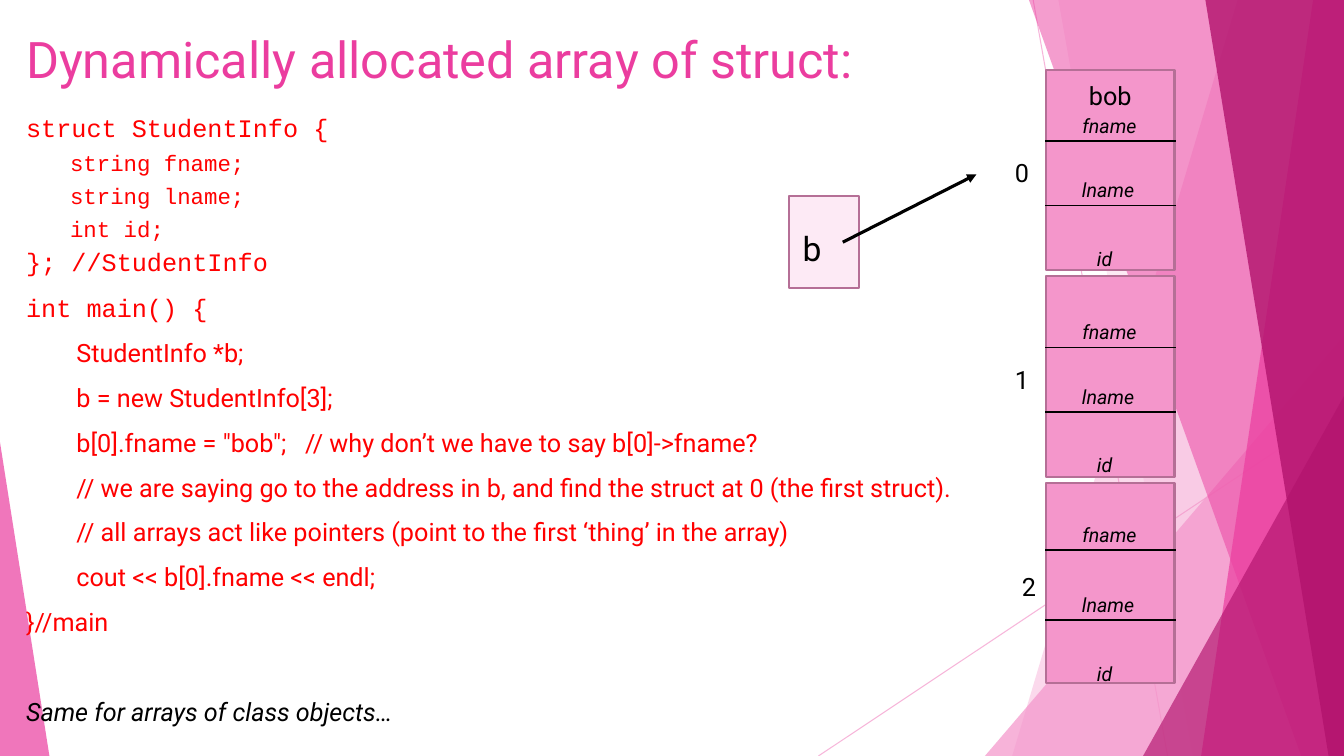
from dataclasses import dataclass

import pptx
import pptx.dml.color
import pptx.enum.shapes
import pptx.enum.text
import pptx.oxml
import pptx.oxml.ns
import pptx.util

Pt = pptx.util.Pt
RGBColor = pptx.dml.color.RGBColor
MSO_SHAPE = pptx.enum.shapes.MSO_SHAPE
PP_ALIGN = pptx.enum.text.PP_ALIGN
MSO_ANCHOR = pptx.enum.text.MSO_ANCHOR

PINK = RGBColor(0xF4, 0x96, 0xCB)
MAGENTA = RGBColor(0xEB, 0x3D, 0x9F)
PLUM = RGBColor(0xB2, 0x13, 0x6D)
PALE = RGBColor(0xFD, 0xEA, 0xF5)
MAUVE = RGBColor(0xB5, 0x6F, 0x96)
RED = RGBColor(0xFF, 0x00, 0x00)
BLACK = RGBColor(0x00, 0x00, 0x00)
SANS, MONO = "Roboto", "Courier New"
W, H = 960, 540
STRUCT_LEFT, STRUCT_WIDTH, STRUCT_HEIGHT = 747.5, 91.5, 143.3
STRUCT_TOP, STRUCT_STEP = 49.7, 147.6


@dataclass
class Shard:
    top_x: float
    bottom_x: float
    color: RGBColor
    alpha: int


@dataclass
class Corner:
    left: float
    top: float
    width: float
    apex: int
    color: RGBColor
    alpha: int


@dataclass
class Line:
    text: str
    size: float = 18
    font: str = SANS
    before: float = 10
    indent: float = 0
    color: RGBColor = RED
    italic: bool = False


@dataclass
class Struct:
    index: str
    index_x: float
    dividers: tuple[float, float]
    labels: tuple[float, float, float]


def set_alpha(fill, alpha: int) -> None:
    clr = fill._xPr.find(".//" + pptx.oxml.ns.qn("a:srgbClr"))
    clr.append(pptx.oxml.parse_xml(
        f'<a:alpha {pptx.oxml.ns.nsdecls("a")} val="{alpha * 1000}"/>'))


def paint(s, color: RGBColor, alpha: int = 100, border: RGBColor | None = None) -> None:
    s.shadow.inherit = False
    s.fill.solid()
    s.fill.fore_color.rgb = color
    if alpha < 100:
        set_alpha(s.fill, alpha)
    if border is None:
        s.line.fill.background()
    else:
        s.line.color.rgb = border
        s.line.width = Pt(1.5)


def add_line(x1: float, y1: float, x2: float, y2: float, color: RGBColor = BLACK,
             width: float = 1, alpha: int = 100, arrow: bool = False) -> None:
    s = slide.shapes.add_connector(pptx.enum.shapes.MSO_CONNECTOR.STRAIGHT,
                                   Pt(x1), Pt(y1), Pt(x2), Pt(y2))
    s.line.color.rgb = color
    s.line.width = Pt(width)
    if alpha < 100:
        set_alpha(s.line.fill, alpha)
    ns = pptx.oxml.ns.nsdecls("a")
    if arrow:
        s.line._get_or_add_ln().append(
            pptx.oxml.parse_xml(f'<a:tailEnd {ns} type="triangle"/>'))
    s._element.spPr.append(pptx.oxml.parse_xml(f"<a:effectLst {ns}/>"))


def add_box(left: float, top: float, width: float, height: float, color: RGBColor) -> None:
    s = slide.shapes.add_shape(MSO_SHAPE.RECTANGLE, Pt(left), Pt(top), Pt(width), Pt(height))
    paint(s, color, border=MAUVE)


def add_shard(shard: Shard) -> None:
    fb = slide.shapes.build_freeform(Pt(shard.top_x), 0, scale=1.0)
    corners = ((W, 0), (W, H), (shard.bottom_x, H))
    fb.add_line_segments([(Pt(x), Pt(y)) for x, y in corners], close=True)
    paint(fb.convert_to_shape(), shard.color, shard.alpha)


def add_corner(corner: Corner) -> None:
    s = slide.shapes.add_shape(MSO_SHAPE.ISOSCELES_TRIANGLE, Pt(corner.left), Pt(corner.top),
                               Pt(corner.width), Pt(H - corner.top))
    s.adjustments[0] = corner.apex
    paint(s, corner.color, corner.alpha)


def write(p, text: str, *, size: float, font: str = SANS, color: RGBColor = BLACK,
          italic: bool = False, before: float = 0, indent: float = 0) -> None:
    p.space_before = Pt(before)
    if indent:
        p._p.get_or_add_pPr().set("marL", str(Pt(indent)))
    r = p.add_run()
    r.text = text
    r.font.size = Pt(size)
    r.font.name = font
    r.font.color.rgb = color
    r.font.italic = italic


def add_frame(left: float, top: float, width: float, height: float):
    tf = slide.shapes.add_textbox(Pt(left), Pt(top), Pt(width), Pt(height)).text_frame
    tf.word_wrap = True
    return tf


def add_label(text: str, center: float, top: float, size: float, italic: bool = False) -> None:
    tf = add_frame(center - 30, top, 60, size * 1.2 + 7.2)
    tf.paragraphs[0].alignment = PP_ALIGN.CENTER
    write(tf.paragraphs[0], text, size=size, italic=italic)


def add_struct(top: float, struct: Struct) -> None:
    add_box(STRUCT_LEFT, top, STRUCT_WIDTH, STRUCT_HEIGHT, PINK)
    for dy in struct.dividers:
        add_line(STRUCT_LEFT - 1, top + dy, STRUCT_LEFT + STRUCT_WIDTH + 1, top + dy)
    for name, center, dy in zip(("fname", "lname", "id"), (792.5, 791.5, 789), struct.labels):
        add_label(name, center, top + dy, 14, italic=True)
    add_label(struct.index, struct.index_x, top + 59.5, 18)


prs = pptx.Presentation()
prs.slide_width, prs.slide_height = Pt(W), Pt(H)
slide = prs.slides.add_slide(prs.slide_layouts[6])

add_line(738, 0, 834, H, PINK, 0.75, 70)
add_line(W, 290, 584.6, H, PINK, 0.75, 70)
add_shard(Shard(884, 723, PINK, 36))
add_shard(Shard(756, 852, PINK, 20))
add_corner(Corner(703.5, 240, 256.5, 1, PINK, 72))
add_shard(Shard(735, 929.5, MAGENTA, 50))
add_shard(Shard(938, 858, MAGENTA, 70))
add_shard(Shard(861, 949, PLUM, 80))
add_corner(Corner(816.5, 283, 143.5, 1, PLUM, 66))
add_corner(Corner(0, 316, 35.3, 0, MAGENTA, 70))

add_box(563.7, 140, 49.9, 65.7, PALE)
title = add_frame(11.5, 14.4, 677, 54)
title.vertical_anchor = MSO_ANCHOR.MIDDLE
write(title.paragraphs[0], "Dynamically allocated array of struct:", size=36, color=MAGENTA)

CODE = (
    Line("struct StudentInfo {", font=MONO, before=3),
    *(Line(member, 16, MONO, 4.4, 31.5)
      for member in ("string fname;", "string lname;", "int id;")),
    Line("}; //StudentInfo", font=MONO, before=3),
    Line("int main() {", font=MONO, before=11.5),
    *(Line(statement, before=10.4, indent=36) for statement in (
        "StudentInfo *b;",
        "b = new StudentInfo[3];",
        "b[0].fname = \"bob\";   // why don’t we have to say b[0]->fname?",
        "// we are saying go to the address in b, and find the struct at 0 (the first struct).",
        "// all arrays act like pointers (point to the first ‘thing’ in the array)",
        "cout << b[0].fname << endl;",
    )),
    Line("}//main", before=10.4),
    Line("Same for arrays of class objects…", before=42.4, color=BLACK, italic=True),
)
body = add_frame(11.5, 77, 718.5, 411)
for i, line in enumerate(CODE):
    p = body.add_paragraph() if i else body.paragraphs[0]
    write(p, line.text, size=line.size, font=line.font, color=line.color,
          italic=line.italic, before=line.before, indent=line.indent)

STRUCTS = (
    Struct("0", 730, (51, 97), (28, 74, 123)),
    Struct("1", 730, (51, 97), (28, 74, 123)),
    Struct("2", 735, (48, 98), (25, 75, 124.5)),
)
for i, struct in enumerate(STRUCTS):
    add_struct(STRUCT_TOP + i * STRUCT_STEP, struct)
add_label("bob", 793, 54, 18)
add_label("b", 580, 159, 24)
add_line(602, 173, 697.5, 124.5, width=2.25, arrow=True)

prs.save("out.pptx")
